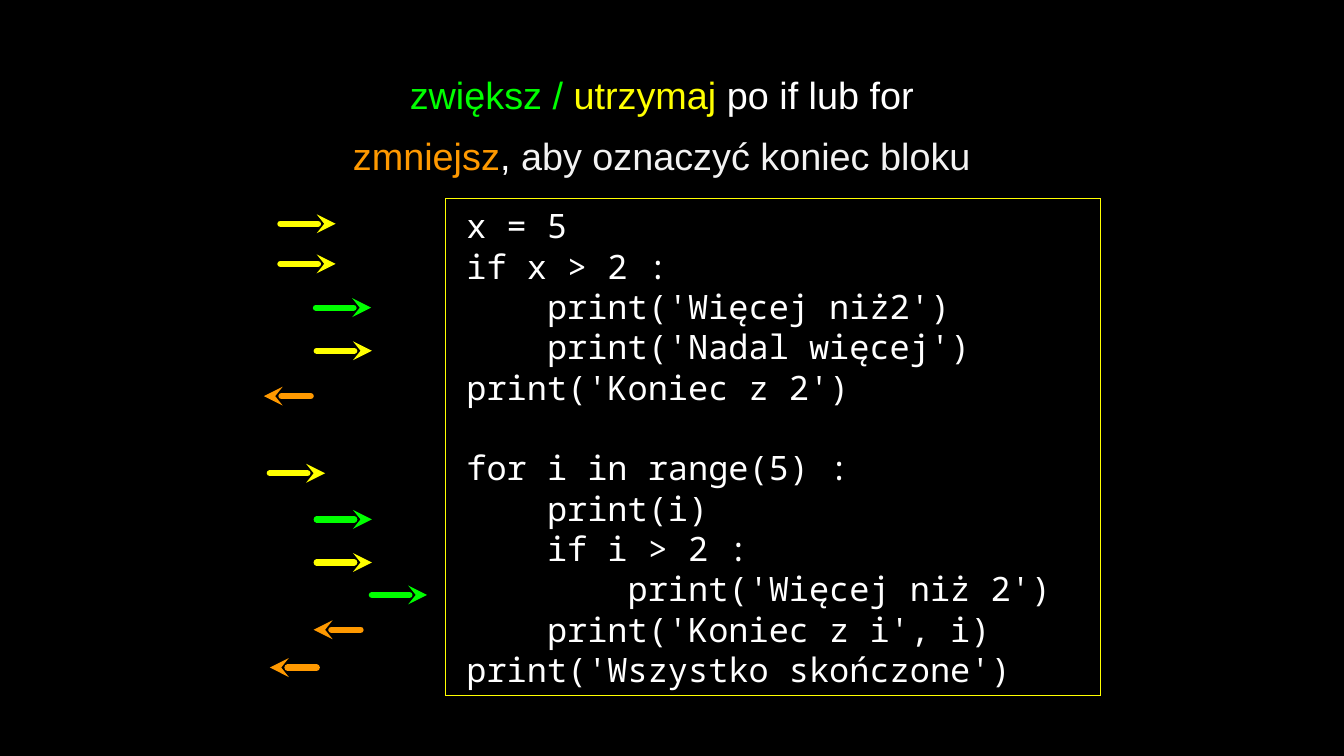
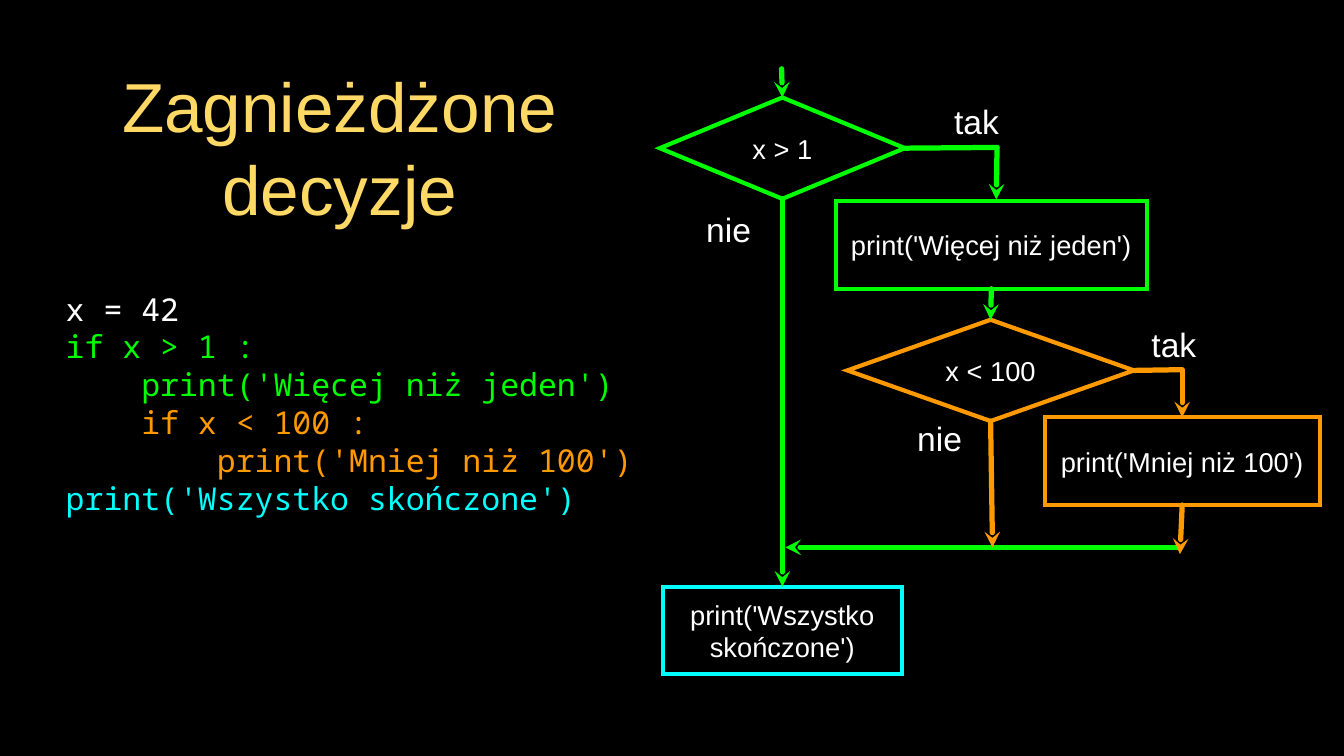
from lxml.etree import SubElement
from pptx import Presentation
from pptx.dml.color import RGBColor
from pptx.enum.shapes import MSO_CONNECTOR as CONN, MSO_SHAPE as SHAPE
from pptx.enum.text import MSO_ANCHOR as ANCHOR, PP_ALIGN as ALIGN
from pptx.oxml.ns import qn
from pptx.util import Inches, Pt

BLACK, WHITE, PALE = "000000", "FFFFFF", "F3F3F3"
GREEN, YELLOW, ORANGE = "00FF00", "FFFF00", "FF9900"
CYAN, GOLD = "00FFFF", "FFD966"
SANS, MONO = "Arial", "Noto Sans Mono"
TOP, RIGHT, BOTTOM = 0, 3, 2


def rgb(hex_colour):
    return RGBColor.from_string(hex_colour)


def write(shape, lines, size, font=SANS, align=ALIGN.CENTER):
    """Fill a shape with lines, each a list of (text, colour) runs."""
    tf = shape.text_frame
    tf.word_wrap = True
    tf.vertical_anchor = ANCHOR.MIDDLE
    tf.margin_left = tf.margin_right = tf.margin_top = tf.margin_bottom = 0
    for i, runs in enumerate(lines):
        p = tf.paragraphs[0] if i == 0 else tf.add_paragraph()
        p.alignment = align
        for text, colour in runs:
            r = p.add_run()
            r.text = text
            r.font.name, r.font.size = font, Pt(size)
            r.font.color.rgb = rgb(colour)
    return tf


def text_box(slide, x, y, w, h, lines, size, **style):
    sp = slide.shapes.add_textbox(Inches(x), Inches(y), Inches(w), Inches(h))
    return write(sp, lines, size, **style)


def code(shape, lines, size):
    tf = write(shape, lines, size, MONO, ALIGN.LEFT)
    for p in tf.paragraphs:
        p.line_spacing = Pt(size * 1.2)
    return tf


def outline(slide, kind, x, y, w, h, colour, width):
    sp = slide.shapes.add_shape(kind, Inches(x), Inches(y), Inches(w), Inches(h))
    sp.shadow.inherit = False
    sp.fill.background()
    sp.line.color.rgb = rgb(colour)
    sp.line.width = Pt(width)
    SubElement(sp.line._get_or_add_ln(), qn("a:miter"), lim="800000")
    return sp


def stroke(slide, start, end, colour, width=5, arrow=True):
    """Join two ends, each an (x, y) point or a (shape, side) pair."""
    points = [(0, 0) if hasattr(e[0], "shape_id") else e for e in (start, end)]
    cxn = slide.shapes.add_connector(CONN.STRAIGHT, *(Inches(v) for pt in points for v in pt))
    for join, target in ((cxn.begin_connect, start), (cxn.end_connect, end)):
        if hasattr(target[0], "shape_id"):
            join(*target)
    cxn.line.color.rgb = rgb(colour)
    cxn.line.width = Pt(width)
    ln = cxn.line._get_or_add_ln()
    ln.set("cap", "rnd")
    SubElement(ln, qn("a:round"))
    if arrow:
        SubElement(ln, qn("a:tailEnd"), type="stealth")
    SubElement(cxn._element.spPr, qn("a:effectLst"))


def new_slide(prs):
    slide = prs.slides.add_slide(prs.slide_layouts[6])
    fill = slide.background.fill
    fill.solid()
    fill.fore_color.rgb = rgb(BLACK)
    return slide


def indent_rules(slide, x, y, w, h):
    tf = text_box(slide, x, y, w, h, [
        [("zwiększ / ", GREEN), ("utrzymaj ", YELLOW), ("po if lub for", WHITE)],
        [("zmniejsz", ORANGE), (", ", WHITE), ("aby oznaczyć koniec bloku", PALE)],
    ], 36)
    tf.margin_bottom = Inches(0.16)
    tf.paragraphs[1].space_before = Pt(15)


def indent_code(slide, x, y, w, h):
    lines = [
        "x = 5",
        "if x > 2 :",
        "    print('Więcej niż2')",
        "    print('Nadal więcej')",
        "print('Koniec z 2')",
        "for i in range(5) :",
        "    print(i)",
        "    if i > 2 :",
        "        print('Więcej niż 2')",
        "    print('Koniec z i', i)",
        "print('Wszystko skończone')",
    ]
    panel = outline(slide, SHAPE.RECTANGLE, x, y, w, h, YELLOW, 1)
    tf = code(panel, [[(line, WHITE)] for line in lines], 32)
    tf.margin_left = Inches(0.27)
    tf.paragraphs[5].space_before = Pt(32 * 1.2)


def indent_arrows(slide, x, y):
    """Mark beside each code line whether its indent stays, grows or shrinks."""
    keep, grow, shrink = (YELLOW, 0.73), (GREEN, 0.73), (ORANGE, -0.62)
    marks = [
        (0.22, 0.33, keep), (0.22, 0.86, keep), (0.69, 1.44, grow),
        (0.7, 2.01, keep), (0.62, 2.61, shrink), (0.08, 3.63, keep),
        (0.7, 4.24, grow), (0.7, 4.81, keep), (1.43, 5.24, grow),
        (1.28, 5.7, shrink), (0.7, 6.2, shrink),
    ]
    for dx, dy, (colour, length) in marks:
        start = x + dx, y + dy
        stroke(slide, start, (start[0] + length, start[1]), colour, 6)


def nested_code(slide, x, y, w, h):
    sp = slide.shapes.add_textbox(Inches(x), Inches(y), Inches(w), Inches(h))
    code(sp, [[line] for line in (
        ("x = 42", WHITE),
        ("if x > 1 :", GREEN),
        ("    print('Więcej niż jeden')", GREEN),
        ("    if x < 100 :", ORANGE),
        ("        print('Mniej niż 100')", ORANGE),
        ("print('Wszystko skończone')", CYAN),
    )], 30)


def flowchart(slide, x, y):
    def at(dx, dy):
        return x + dx, y + dy

    def node(kind, dx, dy, w, h, text, colour):
        sp = outline(slide, kind, *at(dx, dy), w, h, colour, 4)
        write(sp, [[(text, WHITE)]], 26)
        return sp

    above_one = node(SHAPE.DIAMOND, 0, 0.38, 3.24, 1.34, "x > 1", GREEN)
    more = node(SHAPE.RECTANGLE, 2.33, 1.75, 4.11, 1.16, "print('Więcej niż jeden')", GREEN)
    below_100 = node(SHAPE.DIAMOND, 2.48, 3.32, 3.79, 1.34, "x < 100", ORANGE)
    less = node(SHAPE.RECTANGLE, 5.09, 4.61, 3.64, 1.16, "print('Mniej niż 100')", ORANGE)
    done = node(SHAPE.RECTANGLE, 0.04, 6.85, 3.16, 1.16, "print('Wszystko skończone')", CYAN)

    stroke(slide, at(1.61, 0), (above_one, TOP), GREEN)
    stroke(slide, (above_one, RIGHT), at(4.46, 1.04), GREEN, arrow=False)
    stroke(slide, at(4.46, 1.04), at(4.45, 1.73), GREEN)
    stroke(slide, (above_one, BOTTOM), (done, TOP), GREEN)
    stroke(slide, (more, BOTTOM), (below_100, TOP), GREEN)
    stroke(slide, (below_100, RIGHT), at(6.91, 3.98), ORANGE, arrow=False)
    stroke(slide, at(6.91, 3.99), (less, TOP), ORANGE)
    stroke(slide, at(6.85, 6.33), at(1.66, 6.33), GREEN)
    stroke(slide, (below_100, BOTTOM), at(4.4, 6.33), ORANGE)
    stroke(slide, (less, BOTTOM), at(6.88, 6.42), ORANGE)

    for text, dx, dy in (("tak", 3.69, 0.44), ("tak", 6.3, 3.38),
                         ("nie", 3.2, 4.63), ("nie", 0.41, 1.87)):
        text_box(slide, *at(dx, dy), 1, 0.51, [[(text, WHITE)]], 32)


def main():
    prs = Presentation()
    prs.slide_width, prs.slide_height = Inches(17.78), Inches(10)

    slide = new_slide(prs)
    indent_code(slide, 5.9, 2.63, 8.66, 6.57)
    indent_rules(slide, 4.53, 1.05, 8.45, 1.37)
    indent_arrows(slide, 3.49, 2.63)

    slide = new_slide(prs)
    nested_code(slide, 0.87, 3.51, 7.6, 3.64)
    text_box(slide, 1.28, 0.75, 6.43, 2.37, [[("Zagnieżdżone decyzje", GOLD)]], 66)
    flowchart(slide, 8.73, 0.91)

    prs.save("out.pptx")


if __name__ == "__main__":
    main()
